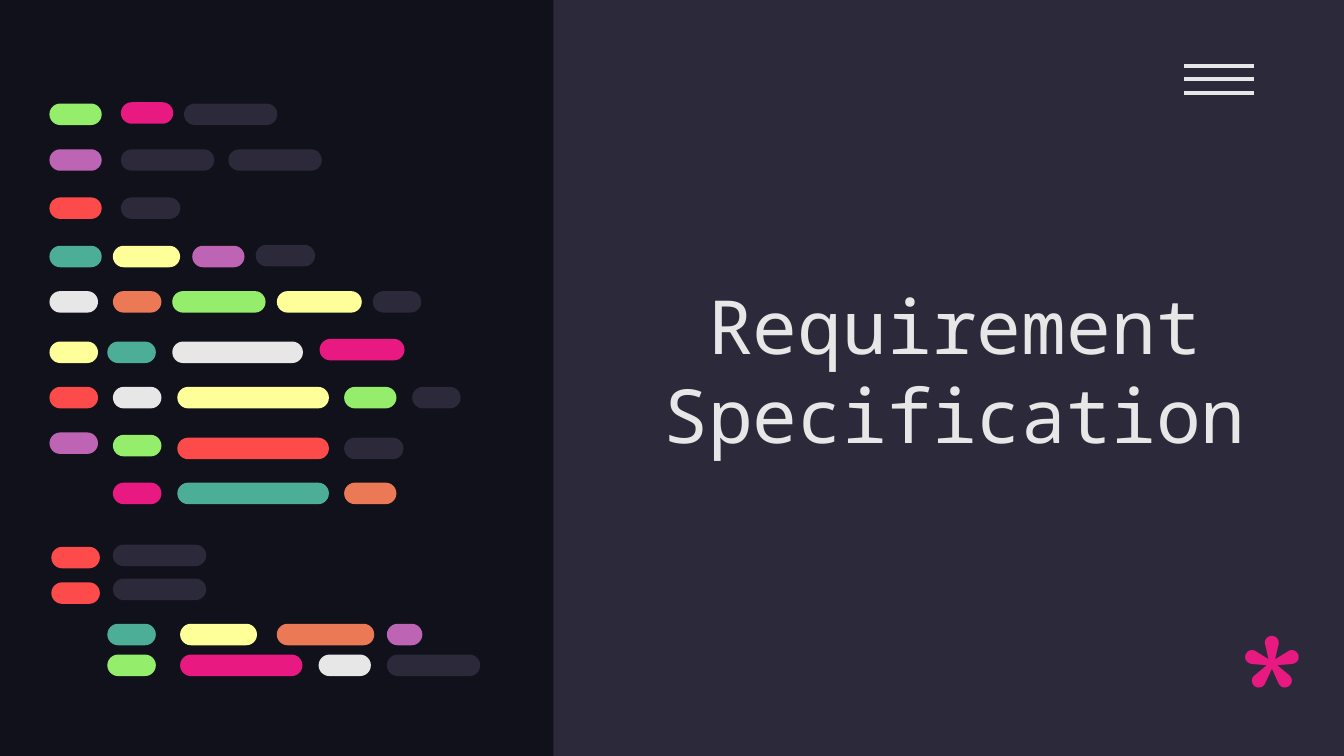
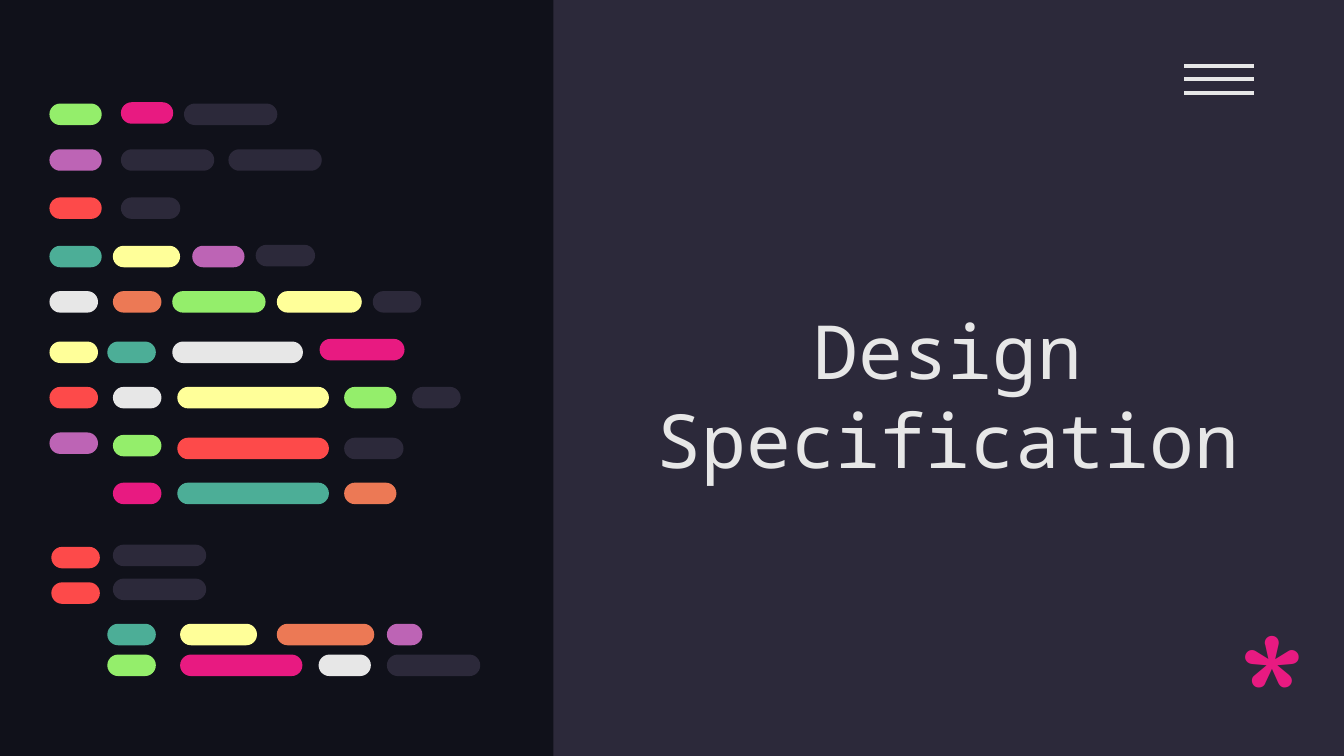
"""Build two section slides with a code motif beside a centred title."""
from dataclasses import dataclass

from lxml.etree import SubElement
from pptx import Presentation
from pptx.dml.color import RGBColor
from pptx.enum.shapes import MSO_CONNECTOR as Connector, MSO_SHAPE as Shape
from pptx.enum.text import MSO_ANCHOR as Anchor, MSO_AUTO_SIZE as AutoSize, PP_ALIGN as Align
from pptx.oxml.ns import qn
from pptx.presentation import Presentation as Deck
from pptx.shapes.autoshape import Shape as Box
from pptx.slide import Slide
from pptx.text.text import TextFrame
from pptx.util import Pt

NIGHT = RGBColor(0x10, 0x11, 0x1A)
SLATE = RGBColor(0x2C, 0x29, 0x3A)
WHITE = RGBColor(0xE7, 0xE7, 0xE7)
PINK = RGBColor(0xE8, 0x1A, 0x81)
GREEN = RGBColor(0x94, 0xEE, 0x6B)
PURPLE = RGBColor(0xBD, 0x64, 0xB5)
RED = RGBColor(0xFD, 0x4A, 0x4A)
TEAL = RGBColor(0x4C, 0xAE, 0x97)
YELLOW = RGBColor(0xFF, 0xFF, 0x99)
ORANGE = RGBColor(0xEC, 0x79, 0x55)

TITLE_FONT = "Noto Sans Mono"
ACCENT_FONT = "Comfortaa"
PAGE_WIDTH, PAGE_HEIGHT = 720, 405
PANEL_LEFT = 296.5
PILL_HEIGHT = 11.5
INSET = 7.2
MENU_LEFT, MENU_RIGHT, MENU_TOP, MENU_STEP = 634.5, 671.8, 35.3, 7.2
TITLE_WIDTH, TITLE_HEIGHT = 456.5, 160.5


@dataclass(frozen=True)
class Pill:
    """One rounded token in a line of code, optionally shifted down."""
    left: float
    width: float
    color: RGBColor
    shift: float = 0


@dataclass(frozen=True)
class CodeLine:
    """A row of tokens that share a top edge."""
    top: float
    pills: tuple[Pill, ...]


@dataclass(frozen=True)
class Section:
    """The title of a slide and where its box starts."""
    title: str
    left: float
    top: float


CODE_LINES = (
    CodeLine(55.5, (Pill(26.5, 28, GREEN), Pill(64.8, 28, PINK, -0.7), Pill(98.6, 50, SLATE))),
    CodeLine(80, (Pill(26.5, 28, PURPLE), Pill(64.8, 50, SLATE), Pill(122.4, 50, SLATE))),
    CodeLine(105.8, (Pill(26.5, 28, RED), Pill(64.8, 31.8, SLATE))),
    CodeLine(131.7, (Pill(26.5, 28, TEAL), Pill(60.5, 36, YELLOW), Pill(103, 28, PURPLE),
                     Pill(137, 31.8, SLATE, -0.5))),
    CodeLine(156, (Pill(26.5, 26, WHITE), Pill(60.5, 26, ORANGE), Pill(92.3, 50, GREEN),
                   Pill(148.3, 45.5, YELLOW), Pill(199.7, 26, SLATE))),
    CodeLine(183, (Pill(26.5, 26, YELLOW), Pill(57.5, 26, TEAL), Pill(92.3, 70, WHITE),
                   Pill(171.2, 45.5, PINK, -1.4))),
    CodeLine(207.3, (Pill(26.5, 26, RED), Pill(60.5, 26, WHITE), Pill(95, 81.2, YELLOW),
                     Pill(184.4, 28, GREEN), Pill(220.8, 26, SLATE))),
    CodeLine(233, (Pill(26.5, 26, PURPLE, -1.3), Pill(60.5, 26, GREEN),
                   Pill(95, 81.2, RED, 1.5), Pill(184.4, 31.8, SLATE, 1.5))),
    CodeLine(258.6, (Pill(60.5, 26, PINK), Pill(95, 81.2, TEAL), Pill(184.4, 28, ORANGE))),
    CodeLine(293, (Pill(27.5, 26, RED), Pill(60.5, 50, SLATE, -1.2))),
    CodeLine(312, (Pill(27.5, 26, RED), Pill(60.5, 50, SLATE, -2))),
    CodeLine(334.2, (Pill(57.5, 26, TEAL), Pill(96.5, 41.2, YELLOW), Pill(148.3, 52.2, ORANGE),
                     Pill(207.3, 19, PURPLE))),
    CodeLine(350.7, (Pill(57.5, 26, GREEN), Pill(96.5, 65.5, PINK), Pill(170.7, 28, WHITE),
                     Pill(207.3, 50, SLATE))),
)

SECTIONS = (
    Section("Requirement Specification", 283, 117.4),
    Section("Design Specification", 279.5, 131),
)


def paint(box: Box, color: RGBColor) -> None:
    """Give a shape a flat fill with no outline or shadow."""
    box.shadow.inherit = False
    box.fill.solid()
    box.fill.fore_color.rgb = color
    box.line.fill.background()


def write(frame: TextFrame, text: str, font: str, size: float, color: RGBColor) -> None:
    """Set the text of a frame, with even insets and one run style."""
    frame.text = text
    frame.word_wrap = True
    frame.auto_size = AutoSize.NONE
    frame.margin_left = frame.margin_right = Pt(INSET)
    frame.margin_top = frame.margin_bottom = Pt(INSET)
    for para in frame.paragraphs:
        for span in para.runs:
            span.font.name = font
            span.font.size = Pt(size)
            span.font.color.rgb = color


def draw_panel(page: Slide) -> None:
    """Draw the lighter panel behind the title."""
    panel = page.shapes.add_shape(Shape.RECTANGLE, Pt(PANEL_LEFT), Pt(0),
                                  Pt(PAGE_WIDTH - PANEL_LEFT), Pt(PAGE_HEIGHT))
    paint(panel, SLATE)


def draw_menu(page: Slide) -> None:
    """Draw the three bars of the menu icon."""
    menu = page.shapes.add_group_shape()
    for index in range(3):
        y = Pt(MENU_TOP + index * MENU_STEP)
        bar = menu.shapes.add_connector(Connector.STRAIGHT, Pt(MENU_LEFT), y, Pt(MENU_RIGHT), y)
        bar.line.color.rgb = WHITE
        bar.line.width = Pt(2.25)
        SubElement(bar.element.spPr, qn("a:effectLst"))


def draw_asterisk(page: Slide) -> None:
    """Write the large accent in the lower right corner."""
    box = page.shapes.add_textbox(Pt(656), Pt(313), Pt(41), Pt(62.5))
    write(box.text_frame, "*", ACCENT_FONT, 96, PINK)


def draw_code(page: Slide) -> None:
    """Draw every token of the code motif in one group."""
    code = page.shapes.add_group_shape()
    for line in CODE_LINES:
        for pill in line.pills:
            token = code.shapes.add_shape(Shape.ROUNDED_RECTANGLE, Pt(pill.left),
                                          Pt(line.top + pill.shift),
                                          Pt(pill.width), Pt(PILL_HEIGHT))
            token.adjustments[0] = 0.5
            paint(token, pill.color)


def place_title(page: Slide, section: Section) -> None:
    """Move, format and bring forward the title placeholder."""
    title = page.shapes.title
    title.left, title.top = Pt(section.left), Pt(section.top)
    title.width, title.height = Pt(TITLE_WIDTH), Pt(TITLE_HEIGHT)
    write(title.text_frame, section.title, TITLE_FONT, 40, WHITE)
    title.text_frame.vertical_anchor = Anchor.MIDDLE
    title.text_frame.paragraphs[0].alignment = Align.CENTER
    title.element.getparent().append(title.element)


def add_section(deck: Deck, section: Section) -> None:
    """Add one complete section slide."""
    page = deck.slides.add_slide(deck.slide_layouts.get_by_name("Title Only"))
    draw_panel(page)
    draw_menu(page)
    draw_asterisk(page)
    draw_code(page)
    place_title(page, section)


def main() -> None:
    """Build and save the deck."""
    deck = Presentation()
    deck.slide_width, deck.slide_height = Pt(PAGE_WIDTH), Pt(PAGE_HEIGHT)
    backdrop = deck.slide_master.background.fill
    backdrop.solid()
    backdrop.fore_color.rgb = NIGHT
    for section in SECTIONS:
        add_section(deck, section)
    deck.save("out.pptx")


if __name__ == "__main__":
    main()
